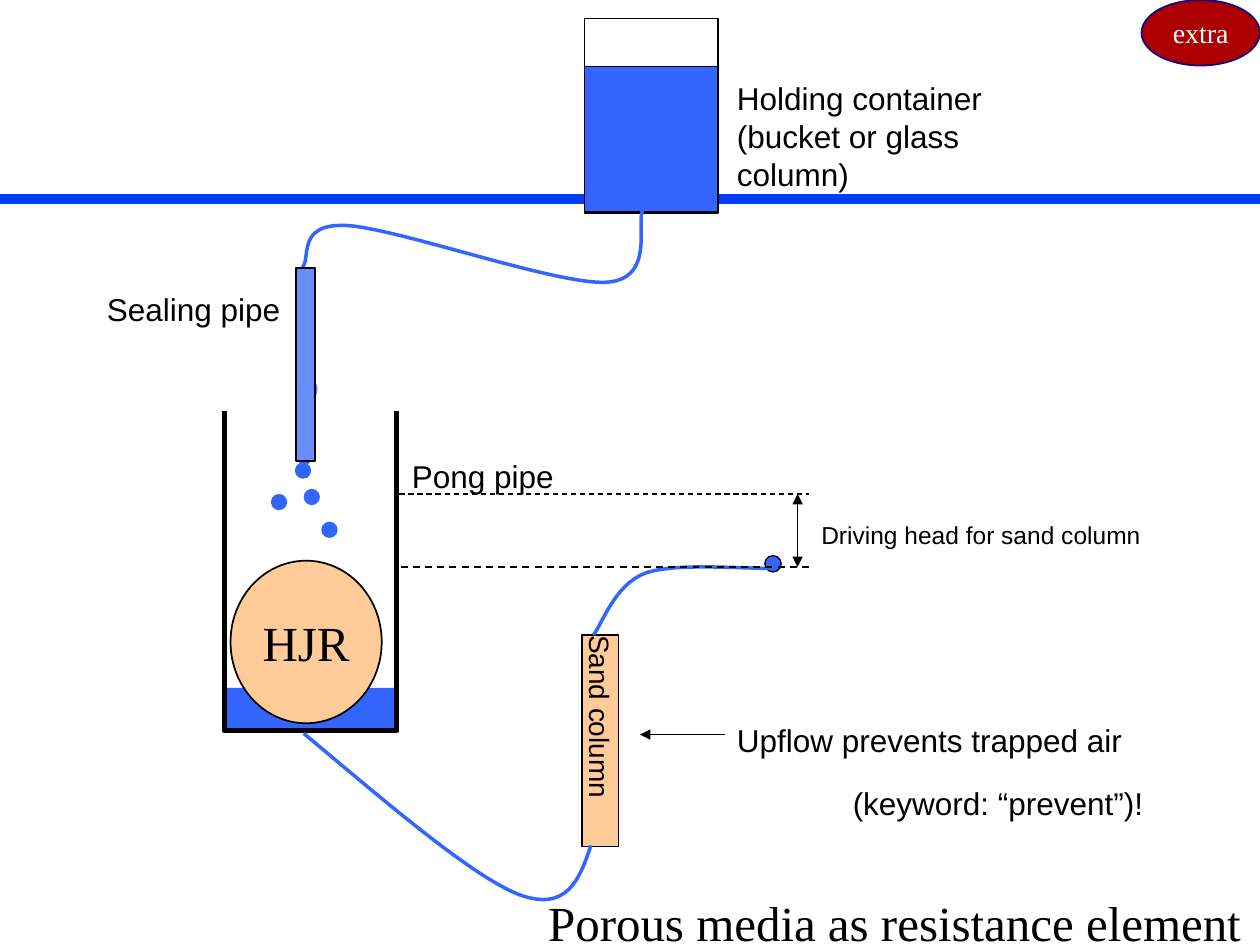
import pptx
import pptx.util
import pptx.dml.color
import pptx.enum.dml
import pptx.enum.shapes
import pptx.enum.text
import pptx.oxml.ns

Inches = pptx.util.Inches
Pt = pptx.util.Pt
qn = pptx.oxml.ns.qn
Kind = pptx.enum.shapes.MSO_SHAPE
Align = pptx.enum.text.PP_ALIGN
Anchor = pptx.enum.text.MSO_ANCHOR
Fit = pptx.enum.text.MSO_AUTO_SIZE

HUES = {
    "water": "3366FF", "pipe": "678EFD", "sand": "FFCC99", "rule": "003CFE",
    "ink": "000000", "paper": "FFFFFF", "badge": "AC0000", "rim": "12037F",
}
SANS, SERIF = "Arial", "Times New Roman"
DROP = 0.13


def hue(name):
    return pptx.dml.color.RGBColor.from_string(HUES[name])


def add_run(frame, text, size, font=SANS, color="ink"):
    run = frame.paragraphs[0].add_run()
    run.text = text
    run.font.size = Pt(size)
    run.font.name = font
    run.font.color.rgb = hue(color)


def paint(shape, fill=None, line=None, width=0.75):
    shape.shadow.inherit = False
    if fill:
        shape.fill.solid()
        shape.fill.fore_color.rgb = hue(fill)
    else:
        shape.fill.background()
    if line:
        shape.line.color.rgb = hue(line)
        shape.line.width = Pt(width)
    else:
        shape.line.fill.background()


def add_form(shapes, kind, box, fill, line=None, width=0.75):
    shape = shapes.add_shape(kind, *map(Inches, box))
    paint(shape, fill, line, width)
    return shape


def add_drop(shapes, left, top, line=None):
    add_form(shapes, Kind.OVAL, (left, top, DROP, DROP), "water", line)


def put_mid(shape, text, size, font, color="ink"):
    """Centre one line of text in a shape."""
    frame = shape.text_frame
    frame.word_wrap = False
    frame.vertical_anchor = Anchor.MIDDLE
    frame.paragraphs[0].alignment = Align.CENTER
    add_run(frame, text, size, font, color)


def add_label(shapes, text, box, size=18):
    frame = shapes.add_textbox(*map(Inches, box)).text_frame
    frame.word_wrap = True
    frame.auto_size = Fit.SHAPE_TO_FIT_TEXT
    add_run(frame, text, size)


def add_line(shapes, start, end, width=0.75, color="ink", dash=False, tips=()):
    """Draw a straight line; tips names the arrow ends (headEnd, tailEnd)."""
    line = shapes.add_connector(pptx.enum.shapes.MSO_CONNECTOR.STRAIGHT,
                                *map(Inches, start + end))
    line.line.color.rgb = hue(color)
    line.line.width = Pt(width)
    if dash:
        line.line.dash_style = pptx.enum.dml.MSO_LINE.DASH
    props = line._element.spPr
    for tip in tips:
        mark = props.makeelement(qn("a:" + tip), {"type": "triangle"})
        props.find(qn("a:ln")).append(mark)
    props.append(props.makeelement(qn("a:effectLst"), {}))


def add_path(shapes, points, color, width):
    spots = [(Inches(x), Inches(y)) for x, y in points]
    pen = shapes.build_freeform(*spots[0])
    pen.add_line_segments(spots[1:], close=False)
    shape = pen.convert_to_shape()
    paint(shape, None, color, width)
    return shape


def add_hose(shapes, points):
    """Draw a Bezier curve: a start, then two handles and an end per piece."""
    shape = add_path(shapes, points, "water", 2)
    track = shape._element.find(".//" + qn("a:path"))
    steps = track.findall(qn("a:lnTo"))
    for i in range(0, len(steps), 3):
        curve = track.makeelement(qn("a:cubicBezTo"), {})
        for step in steps[i:i + 3]:
            curve.append(step[0])
            track.remove(step)
        track.append(curve)


def add_title(slide, text):
    title = slide.shapes.title
    title.left, title.top = Inches(4.25), Inches(7.03)
    title.width, title.height = Inches(5.75), Inches(0.57)
    frame = title.text_frame
    frame.word_wrap = False
    frame.auto_size = Fit.NONE
    frame.vertical_anchor = Anchor.TOP
    frame.paragraphs[0].alignment = Align.LEFT
    add_run(frame, text, 28, SERIF)


def add_tank(shapes):
    add_form(shapes, Kind.RECTANGLE, (4.64, 0.15, 1.06, 1.54), "paper", "ink")
    add_form(shapes, Kind.RECTANGLE, (4.64, 0.53, 1.06, 1.15), "water", "ink")
    add_hose(shapes, [(5.1, 1.67), (5.05, 1.77), (5.2, 2.22), (4.81, 2.24),
                      (4.41, 2.26), (3.15, 1.81), (2.75, 1.79),
                      (2.35, 1.77), (2.47, 2.05), (2.4, 2.12)])
    add_label(shapes, "Holding container (bucket or glass column)",
              (5.75, 0.58, 2.67, 1))


def add_sand(shapes):
    sand = add_form(shapes, Kind.RECTANGLE, (4.62, 5.04, 0.29, 1.68), "sand", "ink")
    put_mid(sand, "Sand column", 16, SANS)
    frame = sand.text_frame
    frame.word_wrap = True
    frame.margin_left = frame.margin_right = 0
    frame.margin_top = frame.margin_bottom = 0
    frame._txBody.bodyPr.set("vert", "eaVert")
    add_drop(shapes, 6.07, 4.41, "ink")
    add_hose(shapes, [(4.71, 5.04), (4.78, 4.95), (4.88, 4.64), (5.12, 4.55),
                      (5.36, 4.46), (5.94, 4.52), (6.16, 4.51)])


def add_pot(shapes):
    """Draw the open vessel with its ball, drain hose, drops and feed pipe."""
    add_form(shapes, Kind.OVAL, (2.37, 3, 0.15, 0.18), "pipe")
    inside = shapes.add_group_shape().shapes
    add_form(inside, Kind.RECTANGLE, (1.78, 5.46, 1.36, 0.34), "water")
    ball = add_form(inside, Kind.OVAL, (1.83, 4.45, 1.2, 1.29), "sand", "ink", 1)
    put_mid(ball, "HJR", 28, SERIF)
    add_path(shapes, [(1.78, 3.26), (1.78, 5.8), (3.15, 5.8), (3.15, 3.26)], "ink", 3)
    add_hose(shapes, [(2.41, 5.82), (3.08, 6.38), (3.74, 6.95), (4.12, 7.1),
                      (4.5, 7.24), (4.6, 6.98), (4.69, 6.71)])
    drops = shapes.add_group_shape().shapes
    for spot in [(2.35, 3.56), (2.41, 3.88), (2.15, 3.92), (2.55, 4.14)]:
        add_drop(drops, *spot)
    add_drop(shapes, 2.34, 3.67)
    add_form(shapes, Kind.RECTANGLE, (2.35, 2.13, 0.15, 1.53), "pipe", "ink", 1)
    add_label(shapes, "Pong pipe", (3.17, 3.58, 2.08, 0.4))
    add_label(shapes, "Sealing pipe", (0.75, 2.25, 1.58, 0.4))


def add_notes(shapes):
    """Mark the driving head and the upflow."""
    high, low = 3.92, 4.5
    head = shapes.add_group_shape().shapes
    add_line(head, (6.42, low), (3.17, low), 1, dash=True)
    add_line(head, (3.17, high), (6.42, high), dash=True)
    add_line(head, (6.33, high), (6.33, low), tips=("headEnd", "tailEnd"))
    add_label(head, "Driving head for sand column", (6.42, 4.08, 3.33, 0.33), 14)
    flow = shapes.add_group_shape().shapes
    add_line(flow, (5.75, 5.83), (5.08, 5.83), tips=("tailEnd",))
    add_label(flow, "Upflow prevents trapped air", (5.75, 5.67, 3.58, 0.4))
    add_label(shapes, "(keyword: “prevent”)!", (6.67, 6.17, 3.33, 0.4))


def main():
    deck = pptx.Presentation()
    deck.slide_width, deck.slide_height = Inches(10), Inches(7.5)
    slide = deck.slides.add_slide(deck.slide_layouts[5])
    shapes = slide.shapes
    add_title(slide, "Porous media as resistance element")
    add_line(shapes, (0, 1.58), (10, 1.58), 6, "rule")
    add_tank(shapes)
    add_sand(shapes)
    add_pot(shapes)
    add_notes(shapes)
    badge = add_form(shapes, Kind.OVAL, (9.06, 0, 0.94, 0.52), "badge", "rim", 1)
    put_mid(badge, "extra", 16, SERIF, "paper")
    deck.save("out.pptx")


if __name__ == "__main__":
    main()
